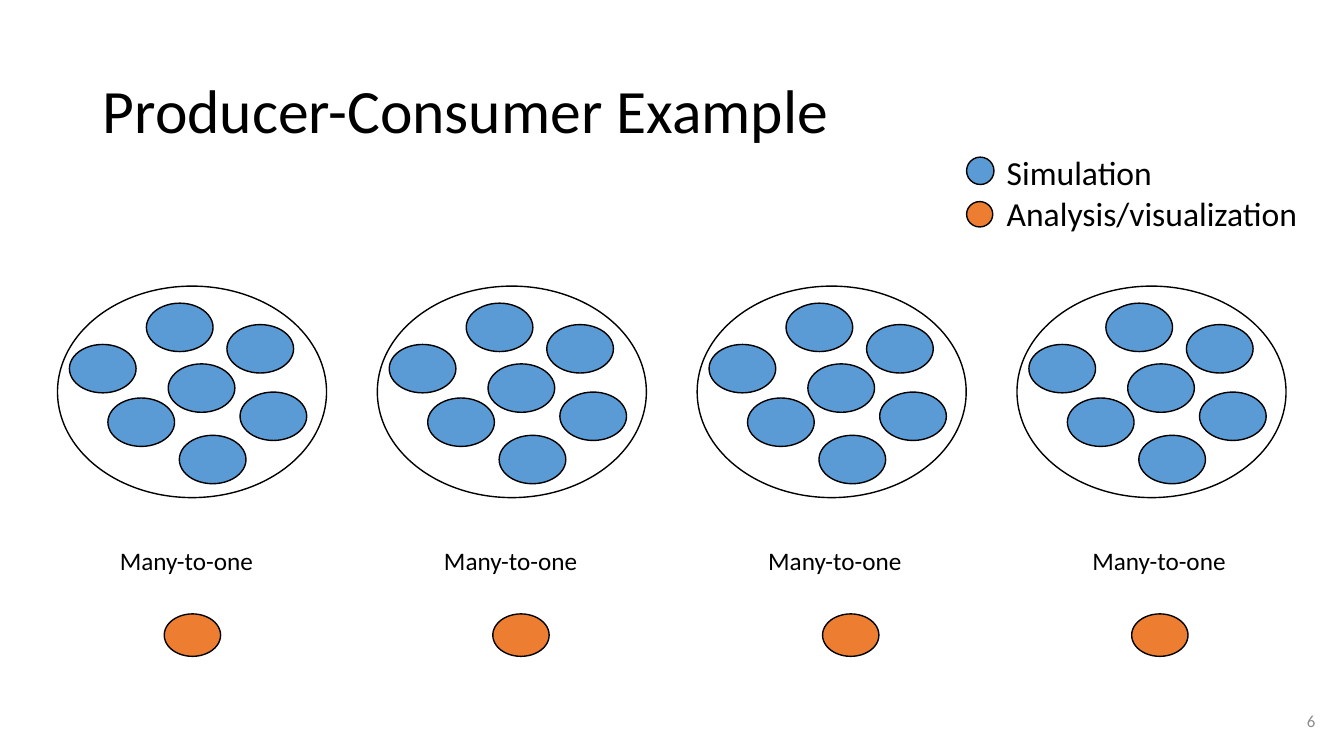
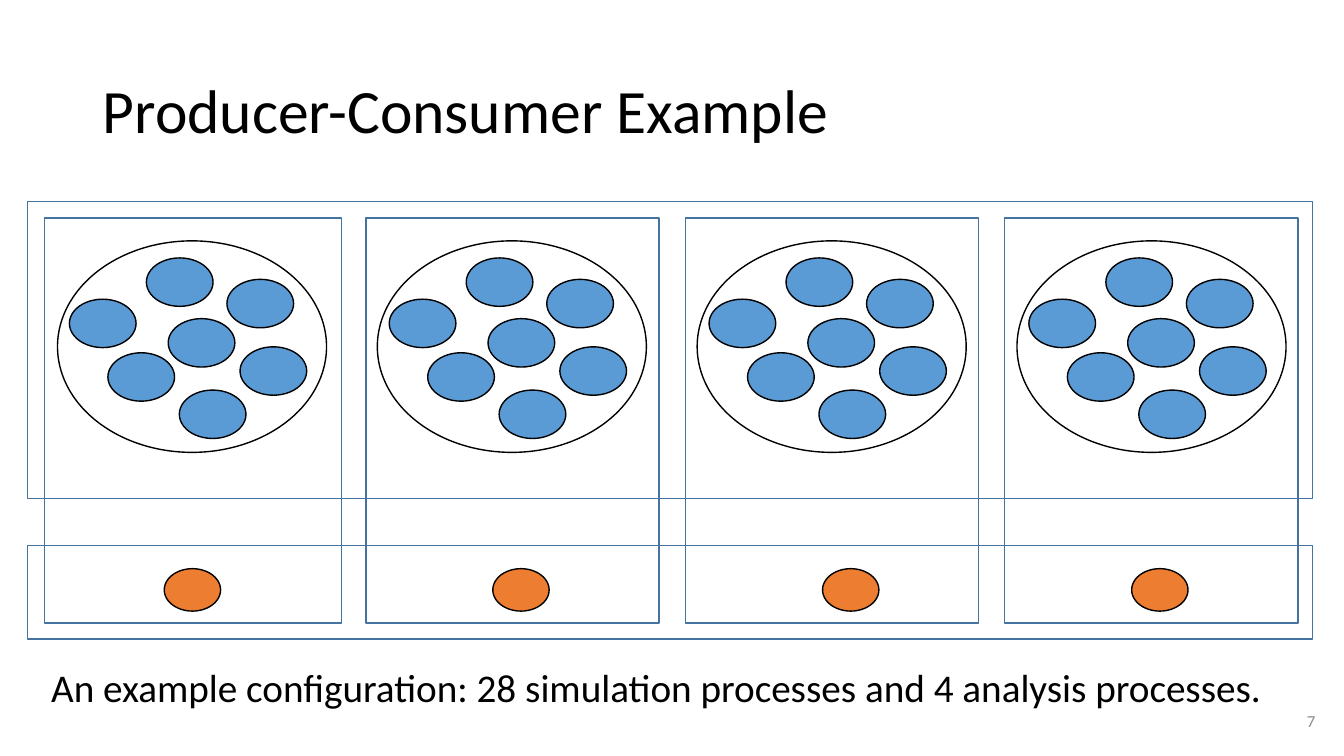
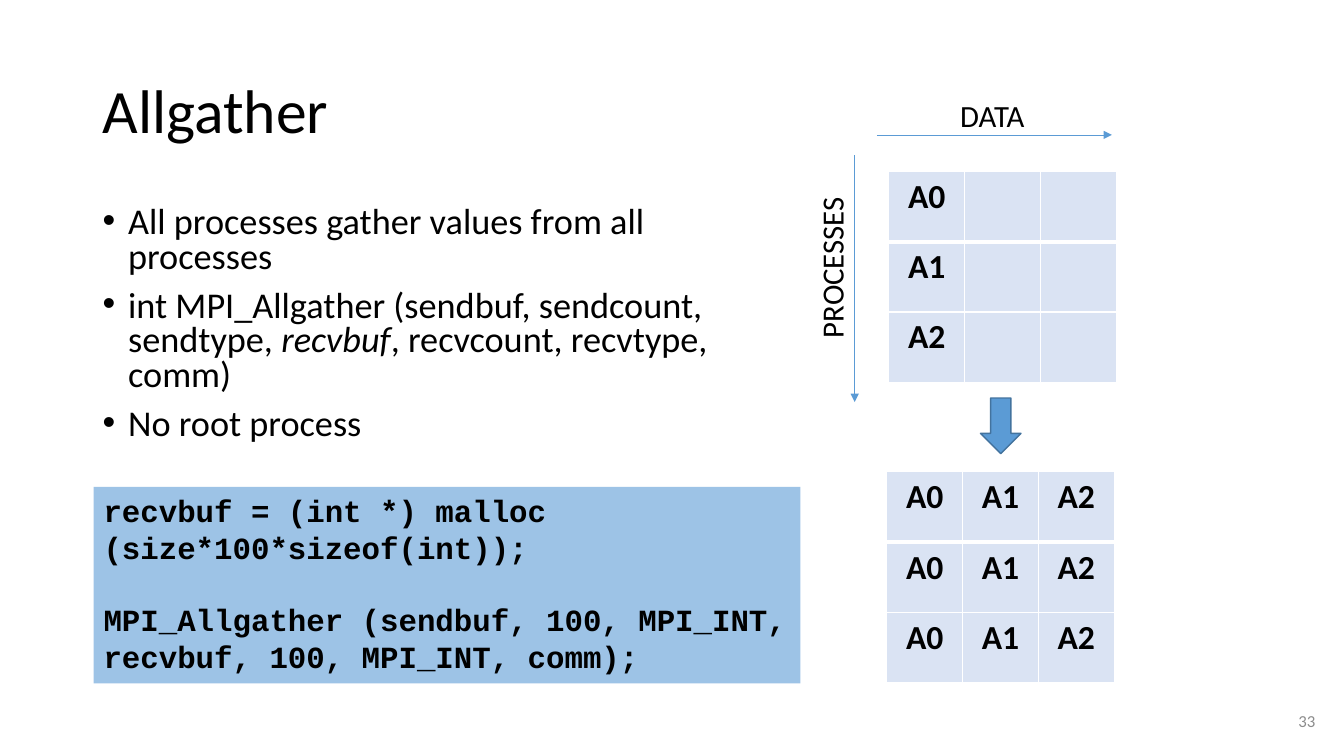
from lxml.etree import SubElement
from pptx import Presentation
from pptx.dml.color import RGBColor
from pptx.enum.shapes import MSO_CONNECTOR, MSO_SHAPE
from pptx.enum.text import MSO_ANCHOR, MSO_AUTO_SIZE, PP_ALIGN
from pptx.oxml.ns import qn
from pptx.util import Cm, Pt

BLACK = RGBColor(0x00, 0x00, 0x00)
WHITE = RGBColor(0xFF, 0xFF, 0xFF)
GRAY = RGBColor(0x8C, 0x8C, 0x8C)
BLUE = RGBColor(0x5B, 0x9B, 0xD5)
DARK_BLUE = RGBColor(0x43, 0x73, 0x9E)
LIGHT_BLUE = RGBColor(0x9D, 0xC3, 0xE6)
PALE_BLUE = RGBColor(0xDA, 0xE3, 0xF3)
ORANGE = RGBColor(0xED, 0x7D, 0x31)

CLUSTER_LEFT, CLUSTER_STEP, CLUSTER_COUNT = 1.45, 8.06, 4
CLUSTER_SIZE = (6.78, 5.33)
PROCESS_SIZE = (1.68, 1.22)
PROCESS_OFFSETS = [(0.3, 1.47), (2.24, 0.43), (2.79, 1.96), (4.27, 0.97),
                   (1.27, 2.82), (3.07, 3.76), (4.6, 2.67)]
CONSUMER_LEFTS = [4.14, 12.42, 20.73, 28.52]
CONSUMER_DROP = 8.26
CONSUMER_SIZE = (1.42, 1.07)


def apply(target, values):
    for key, value in values.items():
        setattr(target, key, value)


def lengths(box):
    return [Cm(value) for value in box]


class Deck:
    """Holds the presentation, its style and the slide being filled."""

    font = {"name": "Calibri", "bold": False, "italic": False}
    title_box = (2.34, 1.02, 29.21, 3.68)
    number_box = (23.93, 17.65, 9.47, 1.02)

    def __init__(self):
        self.presentation = Presentation()
        self.presentation.slide_width = Cm(33.87)
        self.presentation.slide_height = Cm(19.05)
        self.slide = None

    def add_slide(self, title, number):
        self.slide = self.presentation.slides.add_slide(
            self.presentation.slide_layouts[6])
        self.text(self.title_box, [title], 44, anchor=MSO_ANCHOR.MIDDLE,
                  layout={"line_spacing": 0.9})
        self.text(self.number_box, [str(number)], 12, color=GRAY,
                  anchor=MSO_ANCHOR.MIDDLE, layout={"alignment": PP_ALIGN.RIGHT})

    def fill_text(self, frame, paragraphs, size, color=BLACK, layout=None, **font):
        """Fill a frame; a paragraph is a string or a list of (text, font values)."""
        for index, content in enumerate(paragraphs):
            paragraph = frame.add_paragraph() if index else frame.paragraphs[0]
            apply(paragraph, {"alignment": PP_ALIGN.LEFT, **(layout or {})})
            runs = [(content, {})] if isinstance(content, str) else content
            for words, changes in runs:
                run = paragraph.add_run()
                run.text = words
                apply(run.font, {**self.font, "size": Pt(size), **font, **changes})
                run.font.color.rgb = color

    def text(self, box, paragraphs, size, anchor=MSO_ANCHOR.TOP, **style):
        textbox = self.slide.shapes.add_textbox(*lengths(box))
        apply(textbox.text_frame, {"word_wrap": True, "vertical_anchor": anchor})
        self.fill_text(textbox.text_frame, paragraphs, size, **style)
        return textbox

    def label(self, box, paragraphs, size, rotation=0):
        """Add text that never wraps and sizes its own box."""
        textbox = self.text(box, paragraphs, size)
        apply(textbox.text_frame, {"word_wrap": False,
                                   "auto_size": MSO_AUTO_SIZE.SHAPE_TO_FIT_TEXT})
        textbox.rotation = rotation

    def bullets(self, box, items, size):
        layout = {"line_spacing": 0.8, "space_before": Pt(10)}
        body = self.text(box, items, size, layout=layout)
        for paragraph in body.text_frame.paragraphs:
            properties = paragraph._p.get_or_add_pPr()
            properties.set("marL", str(Cm(0.64)))
            properties.set("indent", str(-Cm(0.64)))
            SubElement(properties, qn("a:buFont"), typeface="Arial")
            SubElement(properties, qn("a:buChar"), char="•")

    def shape(self, kind, box, fill=None, line=BLACK, parent=None):
        shapes = (parent or self.slide).shapes
        shape = shapes.add_shape(kind, *lengths(box))
        shape.shadow.inherit = False
        if fill is None:
            shape.fill.background()
        else:
            shape.fill.solid()
            shape.fill.fore_color.rgb = fill
        if line is None:
            shape.line.fill.background()
        else:
            shape.line.color.rgb = line
            shape.line.width = Pt(1)
        return shape

    def ellipse(self, box, fill, parent=None):
        return self.shape(MSO_SHAPE.OVAL, box, fill, parent=parent)

    def frame(self, box):
        self.shape(MSO_SHAPE.RECTANGLE, box, line=DARK_BLUE)

    def code(self, box, statements, size):
        panel = self.shape(MSO_SHAPE.RECTANGLE, box, LIGHT_BLUE, line=None)
        apply(panel.text_frame, {"word_wrap": True,
                                 "vertical_anchor": MSO_ANCHOR.TOP})
        self.fill_text(panel.text_frame, statements, size,
                       name="Courier New", bold=True)
        for paragraph in panel.text_frame.paragraphs[1:]:
            paragraph.space_before = Pt(25)

    def arrow(self, start, end):
        line = self.slide.shapes.add_connector(
            MSO_CONNECTOR.STRAIGHT, *lengths(start + end))
        line.line.color.rgb = BLUE
        line.line.width = Pt(0.5)
        SubElement(line.line._get_or_add_ln(), qn("a:tailEnd"), type="triangle")
        SubElement(line._element.spPr, qn("a:effectLst"))

    def border(self, cell, edge, width):
        line = SubElement(cell._tc.get_or_add_tcPr(), qn(f"a:{edge}"),
                          w=str(Pt(width)))
        fill = SubElement(line, qn("a:solidFill"))
        SubElement(fill, qn("a:srgbClr"), val=str(WHITE))

    def grid(self, left, top, rows, column_width=1.91, row_height=1.77):
        columns = len(rows[0])
        table = self.slide.shapes.add_table(
            len(rows), columns,
            *lengths((left, top, column_width * columns, row_height * len(rows)))).table
        apply(table, {"first_row": False, "horz_banding": False})
        for r, row in enumerate(rows):
            table.rows[r].height = Cm(row_height)
            for c, value in enumerate(row):
                table.columns[c].width = Cm(column_width)
                cell = table.cell(r, c)
                widths = {"lnL": 1, "lnR": 1, "lnT": 3 if r == 1 else 1,
                          "lnB": 3 if r == 0 else 1}
                for edge, width in widths.items():
                    self.border(cell, edge, width)
                cell.fill.solid()
                cell.fill.fore_color.rgb = PALE_BLUE
                if value:
                    self.fill_text(cell.text_frame, [value], 24, bold=True,
                                   layout={"alignment": PP_ALIGN.CENTER})

    def producers_and_consumers(self, top):
        for index in range(CLUSTER_COUNT):
            left = CLUSTER_LEFT + index * CLUSTER_STEP
            cluster = self.slide.shapes.add_group_shape()
            self.ellipse((left, top, *CLUSTER_SIZE), WHITE, cluster)
            for dx, dy in PROCESS_OFFSETS:
                self.ellipse((left + dx, top + dy, *PROCESS_SIZE), BLUE, cluster)
        for left in CONSUMER_LEFTS:
            self.ellipse((left, top + CONSUMER_DROP, *CONSUMER_SIZE), ORANGE)


def roles_slide(deck):
    deck.add_slide("Producer-Consumer Example", 6)
    deck.producers_and_consumers(7.21)
    for index in range(CLUSTER_COUNT):
        deck.label((2.77 + index * 8.17, 13.61, 3.91, 1.02), ["Many-to-one"], 18)
    deck.label((25.12, 3.71, 7.9, 2.31), ["Simulation", "Analysis/visualization"], 24)
    deck.ellipse((24.36, 3.96, 0.69, 0.69), BLUE)
    deck.ellipse((24.36, 5.08, 0.66, 0.64), ORANGE)


def configuration_slide(deck):
    deck.add_slide("Producer-Consumer Example", 7)
    deck.producers_and_consumers(6.07)
    for top, height in [(5.08, 7.49), (13.74, 2.36)]:
        deck.frame((0.69, top, 32.39, height))
    for left, width in [(1.12, 7.49), (9.22, 7.39), (17.27, 7.39), (25.32, 7.39)]:
        deck.frame((left, 5.49, width, 10.21))
    deck.label((1.04, 16.59, 31.37, 1.45),
               ["An example configuration: 28 simulation processes "
                "and 4 analysis processes."], 28)


def allgather_slide(deck):
    deck.add_slide("Allgather", 33)
    deck.bullets((2.34, 5.08, 17.35, 6.65), [
        "All processes gather values from all processes",
        [("int MPI_Allgather (sendbuf, sendcount, sendtype, ", {}),
         ("recvbuf", {"italic": True}),
         (", recvcount, recvtype, comm)", {})],
        "No root process"], 25.9)
    values = ["A0", "A1", "A2"]
    deck.grid(22.35, 11.89, [values] * 3)
    deck.grid(22.4, 4.32, [[value, "", ""] for value in values])
    deck.shape(MSO_SHAPE.DOWN_ARROW, (24.71, 10.03, 1.02, 1.4), BLUE, DARK_BLUE)
    deck.arrow((22.1, 3.4), (28.02, 3.4))
    deck.label((23.95, 2.31, 2.16, 1.19), ["DATA"], 22)
    deck.arrow((21.54, 3.91), (21.54, 10.13))
    deck.label((18.9, 6.12, 4.11, 1.19), ["PROCESSES"], 22, rotation=270)
    deck.code((2.36, 12.27, 17.81, 4.95), [
        "recvbuf = (int *) malloc (size*100*sizeof(int));",
        "MPI_Allgather (sendbuf, 100, MPI_INT, recvbuf, 100, MPI_INT, comm);"], 22)


def main():
    deck = Deck()
    for build in (roles_slide, configuration_slide, allgather_slide):
        build(deck)
    deck.presentation.save("out.pptx")


if __name__ == "__main__":
    main()
